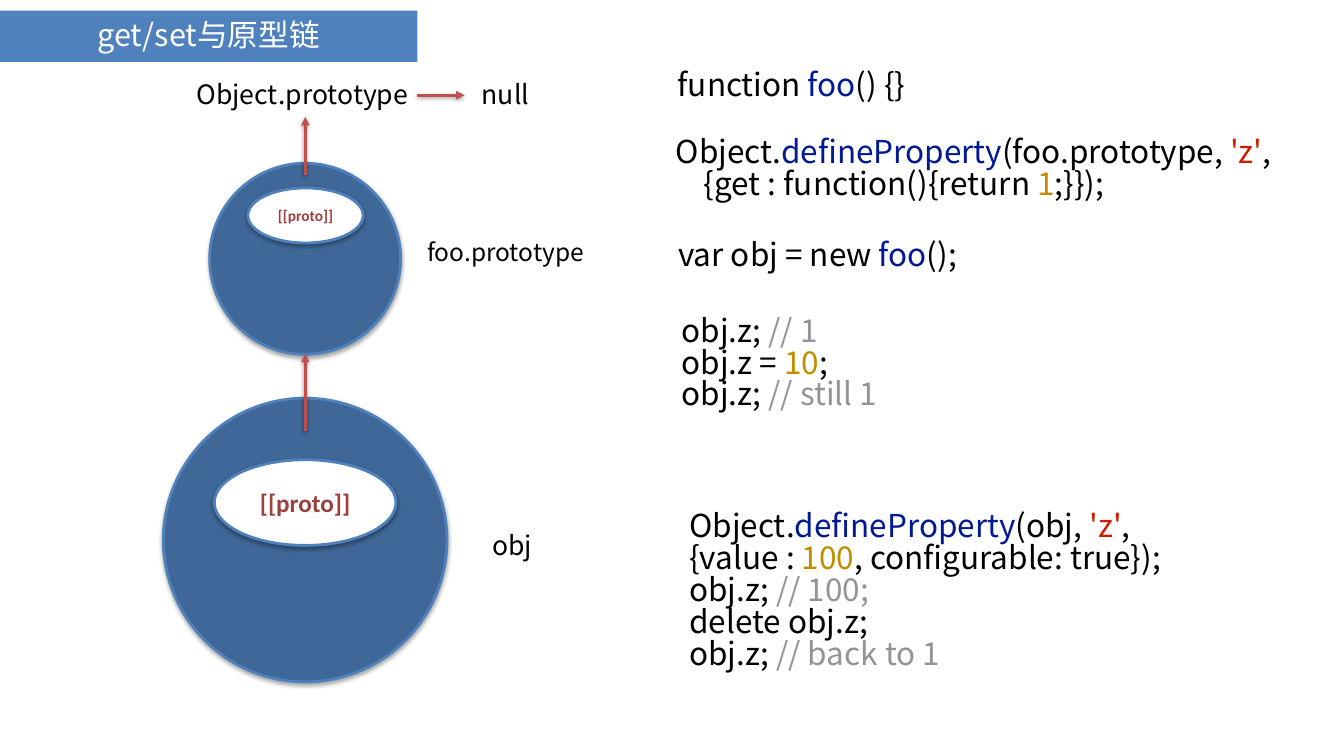
from collections import namedtuple
from dataclasses import dataclass

from lxml import etree
from pptx import Presentation
from pptx.dml.color import RGBColor
from pptx.enum.shapes import MSO_CONNECTOR, MSO_SHAPE
from pptx.enum.text import MSO_ANCHOR, MSO_AUTO_SIZE, PP_ALIGN
from pptx.oxml.ns import qn
from pptx.util import Inches, Pt

OVAL, STRAIGHT = MSO_SHAPE.OVAL, MSO_CONNECTOR.STRAIGHT
LEFT, CENTER = PP_ALIGN.LEFT, PP_ALIGN.CENTER
TOP, MIDDLE = MSO_ANCHOR.TOP, MSO_ANCHOR.MIDDLE
NO_FIT = MSO_AUTO_SIZE.NONE
TITLE_ONLY = 5

Box = namedtuple("Box", "x y w h")


@dataclass(frozen=True)
class Theme:
    """Colours, fonts and type sizes of the slide."""
    accent: str = "4F81BD"
    disc: str = "3F6797"
    arrow: str = "C0504D"
    proto: str = "9A403E"
    white: str = "FFFFFF"
    text: str = "000000"
    name: str = "021994"
    string: str = "CD1D00"
    number: str = "BF8F00"
    comment: str = "959395"
    font: str = "Noto Sans CJK SC"
    proto_font: str = "Calibri"
    title_size: float = 43.8
    code_size: float = 45
    label_size: float = 38
    small_label_size: float = 35
    line_width: float = 4
    code_spacing: float = 0.84


T = Theme()

SNIPPETS = [
    (0.11, 8.8, [[("function ", T.text), ("foo", T.name), ("() {}", T.text)]]),
    (-0.19, 17.6, [
        [("Object.", T.text), ("defineProperty", T.name), ("(foo.prototype, ", T.text),
         ("'z'", T.string), (",", T.text)],
        [("    {get : function(){return ", T.text), ("1", T.number), (";}});", T.text)]]),
    (0.19, 31.27, [[("var obj = new ", T.text), ("foo", T.name), ("();", T.text)]]),
    (0.71, 41.27, [
        [("obj.z; ", T.text), ("// 1", T.comment)],
        [("obj.z = ", T.text), ("10", T.number), (";", T.text)],
        [("obj.z; ", T.text), ("// still 1", T.comment)]]),
    (1.84, 67.13, [
        [("Object.", T.text), ("defineProperty", T.name), ("(obj, ", T.text),
         ("'z'", T.string), (",", T.text)],
        [("{value : ", T.text), ("100", T.number), (", configurable: true});", T.text)],
        [("obj.z; ", T.text), ("// 100;", T.comment)],
        [("delete obj.z;", T.text)],
        [("obj.z; ", T.text), ("// back to 1", T.comment)]]),
]


def part(box, x, y, w, h):
    """Return the box at the given percentages of another box."""
    return Box(int(box.x + box.w * x / 100), int(box.y + box.h * y / 100),
               int(box.w * w / 100), int(box.h * h / 100))


def rgb(colour):
    """Turn a hex string into a colour."""
    return RGBColor.from_string(colour)


def style_run(r, size, colour, font=T.font, bold=False):
    """Format one run, for Latin and East Asian text alike."""
    r.font.size, r.font.bold, r.font.name = Pt(size), bold, font
    r.font.color.rgb = rgb(colour)
    ea = etree.SubElement(r.font._element, qn("a:ea"))
    ea.set("typeface", font)


def set_frame(tf, inset, anchor):
    """Set margins, anchor and wrapping of a text frame."""
    tf.auto_size, tf.word_wrap, tf.vertical_anchor = NO_FIT, True, anchor
    tf.margin_left = tf.margin_right = tf.margin_top = tf.margin_bottom = Inches(inset)


def add_shadow(sp, alpha):
    """Give a shape a soft shadow that falls straight down."""
    effects = etree.SubElement(sp._element.spPr, qn("a:effectLst"))
    shadow = etree.SubElement(effects, qn("a:outerShdw"), blurRad=str(Pt(6)),
                              dist=str(Pt(3)), dir="5400000", rotWithShape="0")
    colour = etree.SubElement(shadow, qn("a:srgbClr"), val="000000")
    etree.SubElement(colour, qn("a:alpha"), val=str(alpha * 1000))


def add_text(s, box, lines, size, spacing, align=LEFT):
    """Add a text box whose lines are lists of text and colour pairs."""
    tf = s.shapes.add_textbox(*box).text_frame
    set_frame(tf, 0.1, TOP)
    for i, line in enumerate(lines):
        p = tf.add_paragraph() if i else tf.paragraphs[0]
        p.alignment, p.line_spacing = align, spacing
        for text, colour in line:
            r = p.add_run()
            r.text = text
            style_run(r, size, colour)


def add_oval(s, box, fill):
    """Add an outlined oval with a shadow."""
    sp = s.shapes.add_shape(OVAL, *box)
    sp.fill.solid()
    sp.fill.fore_color.rgb = rgb(fill)
    sp.line.color.rgb, sp.line.width = rgb(T.accent), Pt(T.line_width)
    add_shadow(sp, 35)
    return sp


def add_arrow(s, box):
    """Add an arrow from the start of a box to its far corner."""
    sp = s.shapes.add_connector(STRAIGHT, box.x, box.y, box.x + box.w, box.y + box.h)
    sp.line.color.rgb, sp.line.width = rgb(T.arrow), Pt(T.line_width)
    etree.SubElement(sp.line._get_or_add_ln(), qn("a:tailEnd"), type="triangle")
    add_shadow(sp, 38)


def add_object(s, box, top, proto_size):
    """Draw an object as a disc that holds its proto slot."""
    add_oval(s, box, T.disc)
    sp = add_oval(s, part(box, *top), T.white)
    tf = sp.text_frame
    set_frame(tf, 0, MIDDLE)
    tf.text = "[[proto]]"
    p = tf.paragraphs[0]
    p.alignment = CENTER
    style_run(p.runs[0], proto_size, T.proto, T.proto_font, True)


def build_title(s, box):
    """Place the title in its coloured bar."""
    sp = s.shapes.title
    sp.left, sp.top, sp.width, sp.height = box
    sp.fill.solid()
    sp.fill.fore_color.rgb = rgb(T.accent)
    tf = sp.text_frame
    set_frame(tf, 0, MIDDLE)
    tf.text = "get/set与原型链"
    p = tf.paragraphs[0]
    p.alignment, p.line_spacing, p.space_before = CENTER, 0.9, Pt(0)
    style_run(p.runs[0], T.title_size, T.white)


def build_diagram(s, box):
    """Draw the prototype chain from obj up to null."""
    add_object(s, part(box, 24.3, 52.67, 42.22, 37.53), (18, 21.7, 64, 30.2), 36)
    add_object(s, part(box, 31.2, 21.6, 28.42, 25.27), (20, 12.9, 60.4, 28.8), 22)
    for arrow in [(45.44, 57, 0, -10.2), (45.44, 23.13, 0, -7.67), (62.09, 12.6, 7.05, 0)]:
        add_arrow(s, part(box, *arrow))
    labels = [
        ("obj", (72.37, 70.2, 7.72, 5.93), T.label_size, 0.77, CENTER),
        ("foo.prototype", (62.39, 31.47, 25.72, 5.6), T.small_label_size, 0.77, CENTER),
        ("Object.prototype", (28.5, 9.67, 33.9, 5.93), T.label_size, 1.0, LEFT),
        ("null", (70.94, 9.67, 10, 5.93), T.label_size, 1.0, LEFT),
    ]
    for text, place, size, spacing, align in labels:
        add_text(s, part(box, *place), [[(text, T.text)]], size, spacing, align)


def build_code(s, box):
    """Place the code snippets down the column."""
    for x, y, lines in SNIPPETS:
        height = 1.33 + 5.03 * len(lines)
        add_text(s, part(box, x, y, 97, height), lines, T.code_size, T.code_spacing)


def main():
    """Build and save the slide."""
    prs = Presentation()
    prs.slide_width, prs.slide_height = Inches(26.67), Inches(15)
    s = prs.slides.add_slide(prs.slide_layouts[TITLE_ONLY])
    page = Box(0, 0, prs.slide_width, prs.slide_height)
    build_title(s, part(page, 0, 1.4, 31.05, 6.8))
    build_diagram(s, part(page, 0, 0, 50, 100))
    build_code(s, part(page, 50, 0, 50, 100))
    prs.save("out.pptx")


if __name__ == "__main__":
    main()
